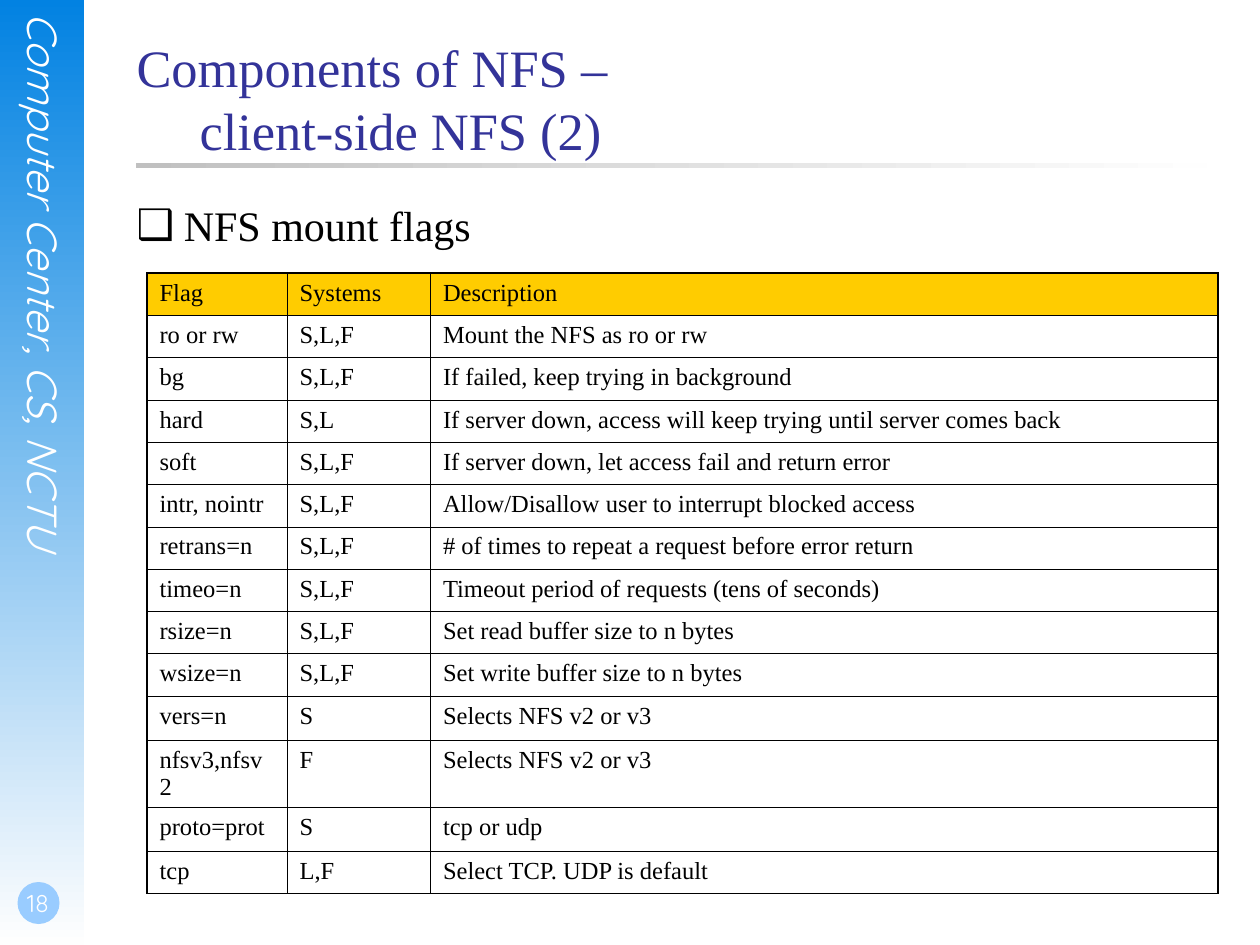
from lxml.etree import SubElement
from pptx import Presentation
from pptx.dml.color import RGBColor
from pptx.enum.shapes import MSO_SHAPE
from pptx.enum.text import MSO_ANCHOR, MSO_AUTO_SIZE, PP_ALIGN
from pptx.oxml import parse_xml
from pptx.oxml.ns import nsdecls, qn
from pptx.util import Pt

SKY = RGBColor(0x02, 0x82, 0xE2)
NEAR_WHITE = RGBColor(0xFE, 0xFE, 0xFE)
WHITE = RGBColor(0xFF, 0xFF, 0xFF)
PALE_BLUE = RGBColor(0x99, 0xCC, 0xFF)
SILVER = RGBColor(0xC0, 0xC0, 0xC0)
INDIGO = RGBColor(0x33, 0x33, 0x99)
AMBER = RGBColor(0xFF, 0xCC, 0x00)
BLACK = RGBColor(0, 0, 0)
SERIF, ROUNDED = "Times New Roman", "Quicksand"

MOUNT_FLAGS = [
    ("Flag", "Systems", "Description"),
    ("ro or rw", "S,L,F", "Mount the NFS as ro or rw"),
    ("bg", "S,L,F", "If failed, keep trying in background"),
    ("hard", "S,L", "If server down, access will keep trying until server comes back"),
    ("soft", "S,L,F", "If server down, let access fail and return error"),
    ("intr, nointr", "S,L,F", "Allow/Disallow user to interrupt blocked access"),
    ("retrans=n", "S,L,F", "# of times to repeat a request before error return"),
    ("timeo=n", "S,L,F", "Timeout period of requests (tens of seconds)"),
    ("rsize=n", "S,L,F", "Set read buffer size to n bytes"),
    ("wsize=n", "S,L,F", "Set write buffer size to n bytes"),
    ("vers=n", "S", "Selects NFS v2 or v3"),
    ("nfsv3,nfsv2", "F", "Selects NFS v2 or v3"),
    ("proto=prot", "S", "tcp or udp"),
    ("tcp", "L,F", "Select TCP. UDP is default"),
]
TALL_ROWS = (10, 11, 12)


def set_text(frame, text, size, name, color, align=PP_ALIGN.LEFT):
    frame.text = text
    paragraph = frame.paragraphs[0]
    paragraph.alignment = align
    paragraph.space_before = Pt(0)
    font = paragraph.font
    font.size, font.name = Pt(size), name
    font.color.rgb = color
    return paragraph


def set_frame(frame, anchor=MSO_ANCHOR.TOP, left=0, bottom=0):
    frame.word_wrap = True
    frame.auto_size = MSO_AUTO_SIZE.NONE
    frame.vertical_anchor = anchor
    frame.margin_left, frame.margin_bottom = Pt(left), Pt(bottom)
    frame.margin_top = frame.margin_right = Pt(0)


prs = Presentation()
prs.slide_width, prs.slide_height = Pt(720), Pt(540)
slide = prs.slides.add_slide(prs.slide_layouts[1])
shapes = slide.shapes
title, body = shapes.title, slide.placeholders[1]

sidebar = shapes.add_shape(MSO_SHAPE.RECTANGLE, 0, 0, Pt(48), Pt(540))
divider = shapes.add_shape(MSO_SHAPE.RECTANGLE, Pt(78), Pt(93), Pt(612), Pt(3))
for bar, angle, start, end in ((sidebar, 270, SKY, NEAR_WHITE),
                               (divider, 180, NEAR_WHITE, SILVER)):
    bar.shadow.inherit = False
    bar.line.fill.background()
    bar.fill.gradient()
    bar.fill.gradient_angle = angle
    for stop, color in zip(bar.fill.gradient_stops, (start, end)):
        stop.color.rgb = color

course = shapes.add_textbox(Pt(10.8), Pt(7.2), Pt(28.8), Pt(368)).text_frame
set_frame(course)
course._txBody.bodyPr.set("vert", "eaVert")
set_text(course, "Computer Center, CS, NCTU", 24, ROUNDED, WHITE,
         PP_ALIGN.CENTER).font.italic = True

badge = shapes.add_shape(MSO_SHAPE.OVAL, Pt(10), Pt(504), Pt(24), Pt(24))
badge.shadow.inherit = False
badge.fill.solid()
badge.fill.fore_color.rgb = PALE_BLUE
badge.line.fill.background()

page_number = shapes.add_textbox(0, Pt(492), Pt(42), Pt(36)).text_frame
set_frame(page_number, MSO_ANCHOR.BOTTOM, left=1.5, bottom=3.6)
set_text(page_number, "18", 14, ROUNDED, WHITE, PP_ALIGN.CENTER)

for holder, top, height in ((title, 20, 90), (body, 114, 366)):
    shapes._spTree.append(holder._element)
    holder.left, holder.top, holder.width, holder.height = Pt(78), Pt(top), Pt(612), Pt(height)
    set_frame(holder.text_frame)
set_text(title.text_frame, "Components of NFS –\v\tclient-side NFS (2)", 30, SERIF, INDIGO)

body.text_frame.text = "NFS mount flags"
bullet = body.text_frame.paragraphs[0]._p.get_or_add_pPr()
bullet.set("marL", str(Pt(27)))
bullet.set("indent", str(-Pt(27)))
bullet_color = SubElement(bullet, qn("a:buClr"))
SubElement(bullet_color, qn("a:srgbClr")).set("val", str(BLACK))
SubElement(bullet, qn("a:buChar")).set("char", "❑")
heading = body.text_frame.paragraphs[0]
heading.space_before = Pt(0)
heading.font.size, heading.font.name = Pt(24), SERIF
heading.font.color.rgb = BLACK

last_row, last_column = len(MOUNT_FLAGS) - 1, 2
flags = shapes.add_table(last_row + 1, last_column + 1,
                         Pt(84), Pt(156), Pt(612), Pt(342)).table
flags.first_row = flags.horz_banding = False
for column, width in zip(flags.columns, (80, 82, 450)):
    column.width = Pt(width)
for r, entry in enumerate(MOUNT_FLAGS):
    flags.rows[r].height = Pt(25.2 if r in TALL_ROWS else 24.2)
    for c, text in enumerate(entry):
        cell = flags.cell(r, c)
        set_text(cell.text_frame, text, 14, SERIF, BLACK)
        if r == 0:
            cell.fill.solid()
            cell.fill.fore_color.rgb = AMBER
        else:
            cell.fill.background()
        outer_edges = {"L": c == 0, "R": c == last_column, "T": r == 0, "B": r == last_row}
        for position, (side, outer) in enumerate(outer_edges.items()):
            width = Pt(1.08 if outer else 0.45)
            cell._tc.get_or_add_tcPr().insert(position, parse_xml(
                f'<a:ln{side} {nsdecls("a")} w="{width}"><a:solidFill>'
                f'<a:srgbClr val="{BLACK}"/></a:solidFill></a:ln{side}>'))

prs.save("out.pptx")
